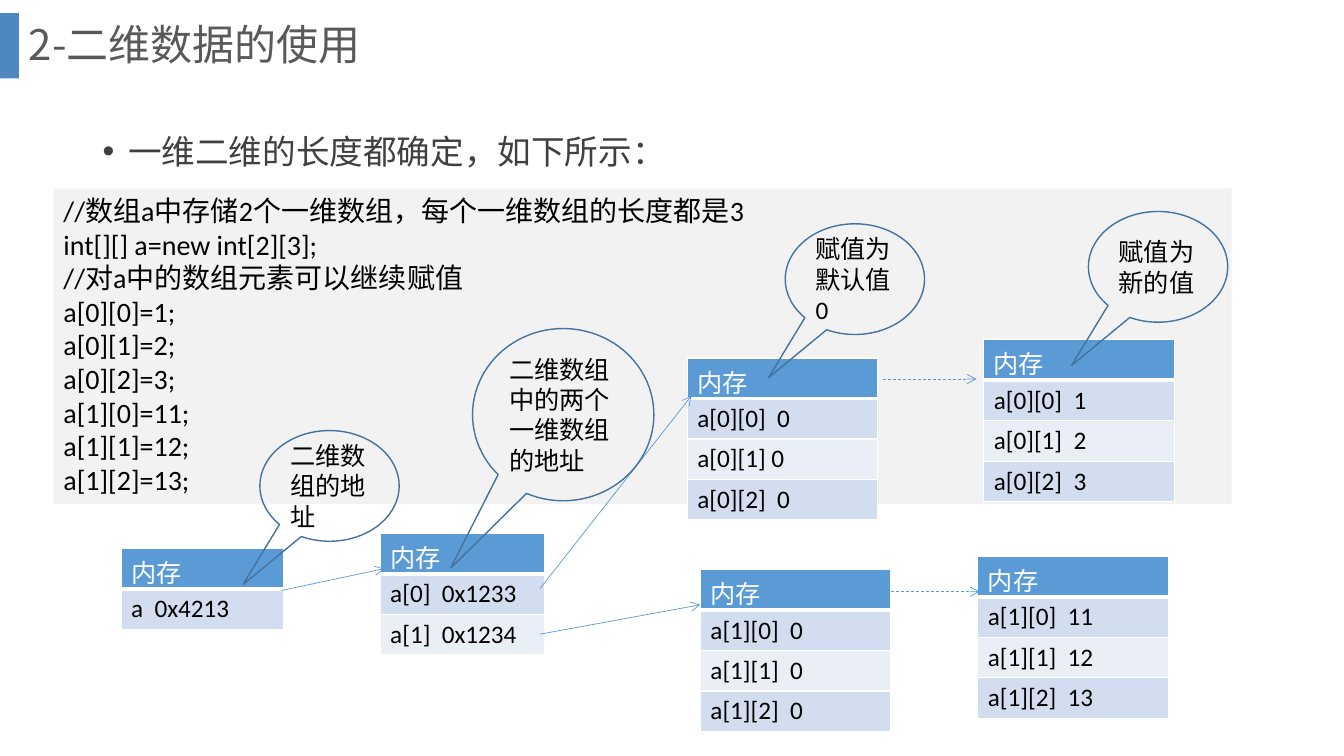
import pptx
import pptx.util
import pptx.dml.color
import pptx.enum.dml
import pptx.enum.shapes
import pptx.enum.text
import pptx.oxml
import pptx.oxml.ns
import lxml.etree

Cm, Pt = pptx.util.Cm, pptx.util.Pt
Kind = pptx.enum.shapes.MSO_SHAPE
Anchor = pptx.enum.text.MSO_ANCHOR
qn = pptx.oxml.ns.qn
CJK = "Noto Sans CJK SC"


def paint(color, code):
    color.rgb = pptx.dml.color.RGBColor.from_string(code)


def write(frame, lines, size, code, face="Calibri", anchor=Anchor.TOP):
    for name, value in {"word_wrap": True, "vertical_anchor": anchor}.items():
        setattr(frame, name, value)
    frame.text = "\n".join(lines)
    for para in frame.paragraphs:
        para.alignment = pptx.enum.text.PP_ALIGN.LEFT
        font = para.runs[0].font
        for name, value in {"size": Pt(size), "name": face, "bold": False}.items():
            setattr(font, name, value)
        paint(font.fill.fore_color if font.fill.type else font.color, code)
        lxml.etree.SubElement(para.runs[0]._r.rPr, qn("a:ea"), typeface=CJK)


deck = pptx.Presentation()
deck.slide_width, deck.slide_height = Cm(33.87), Cm(19.05)
slide = deck.slides.add_slide(deck.slide_layouts[6])
shapes = slide.shapes

# Accent bar, slightly transparent
bar = shapes.add_shape(Kind.RECTANGLE, 0, Cm(0.33), Cm(0.48), Cm(1.65))
bar.shadow.inherit = False
bar.fill.solid()
paint(bar.fill.fore_color, "2E75B6")
tint = bar.fill._xPr.find(qn("a:solidFill"))[0]
lxml.etree.SubElement(tint, qn("a:alpha"), val="85000")
bar.line.fill.background()

# Title
title = shapes.add_textbox(Cm(0.48), 0, Cm(32.16), Cm(2.36)).text_frame
write(title, ["2-二维数据的使用"], 30, "595959", CJK, Anchor.MIDDLE)
title.paragraphs[0].line_spacing = 0.9

# Bullet
body = shapes.add_textbox(Cm(2.34), Cm(2.67), Cm(29.21), Cm(15.64)).text_frame
write(body, ["一维二维的长度都确定，如下所示："], 24, "404040", CJK)
point = body.paragraphs[0]
for name, value in {"line_spacing": 1.5, "space_before": Pt(10)}.items():
    setattr(point, name, value)
props = point._p.get_or_add_pPr()
props.set("marL", str(Cm(0.64)))
props.set("indent", str(-Cm(0.64)))
lxml.etree.SubElement(props, qn("a:buFont"), typeface="Arial")
lxml.etree.SubElement(props, qn("a:buChar"), char="•")

# Code panel
panel = shapes.add_shape(Kind.RECTANGLE, Cm(1.35), Cm(4.75), Cm(29.69), Cm(7.95))
panel.shadow.inherit = False
panel.fill.solid()
paint(panel.fill.fore_color, "F2F2F2")
panel.line.fill.background()
code = [
    "//数组a中存储2个一维数组，每个一维数组的长度都是3",
    "int[][] a=new int[2][3];",
    "//对a中的数组元素可以继续赋值",
    "a[0][0]=1;", "a[0][1]=2;", "a[0][2]=3;",
    "a[1][0]=11;", "a[1][1]=12;", "a[1][2]=13;",
]
write(panel.text_frame, code, 20, "000000")

# Memory tables: left, top, width, rows below the header
grids = [
    (3.05, 13.82, 4.09, ["a  0x4213"]),
    (9.58, 13.44, 4.14, ["a[0]  0x1233", "a[1]  0x1234"]),
    (17.32, 9.02, 4.8, ["a[0][0]  0", "a[0][1] 0", "a[0][2]  0"]),
    (17.65, 14.35, 4.8, ["a[1][0]  0", "a[1][1]  0", "a[1][2]  0"]),
    (24.79, 8.56, 4.8, ["a[0][0]  1", "a[0][1]  2", "a[0][2]  3"]),
    (24.64, 14.02, 4.8, ["a[1][0]  11", "a[1][1]  12", "a[1][2]  13"]),
]
for left, top, width, rows in grids:
    texts = ["内存"] + rows
    grid = shapes.add_table(len(texts), 1, Cm(left), Cm(top), Cm(width),
                            Cm(1.02 * len(texts))).table
    for row, text in enumerate(texts):
        cell = grid.cell(row, 0)
        write(cell.text_frame, [text], 18, "000000" if row else "FFFFFF")
        edges = cell._tc.get_or_add_tcPr()
        for side in "LRTB":
            thick = 3 if (row, side) in [(0, "B"), (1, "T")] else 1
            edge = lxml.etree.SubElement(edges, qn("a:ln" + side), w=str(Pt(thick)))
            ink = lxml.etree.SubElement(edge, qn("a:solidFill"))
            lxml.etree.SubElement(ink, qn("a:srgbClr"), val="FFFFFF")
        cell.fill.solid()
        shade = ("D2DEEF" if row % 2 else "EAEFF7") if row else "5B9BD5"
        paint(cell.fill.fore_color, shade)

# Arrows between tables: start, end, dashed
arrows = [
    (13.61, 14.83, 17.42, 9.98, False),
    (13.61, 15.98, 17.65, 15.24, False),
    (7.09, 14.88, 9.68, 14.33, False),
    (22.25, 9.55, 24.61, 9.55, True),
    (22.33, 14.91, 24.69, 14.91, True),
]
for *ends, dashed in arrows:
    arrow = shapes.add_connector(pptx.enum.shapes.MSO_CONNECTOR.STRAIGHT,
                                 *[Cm(end) for end in ends])
    paint(arrow.line.color, "5B9BD5")
    arrow.line.width = Pt(0.5)
    if dashed:
        arrow.line.dash_style = pptx.enum.dml.MSO_LINE.DASH
    lxml.etree.SubElement(arrow.line._get_or_add_ln(), qn("a:tailEnd"), type="arrow")
    lxml.etree.SubElement(arrow._element.spPr, qn("a:effectLst"))

# Callouts
notes = [
    (19.79, 5.64, 3.51, 2.79, "赋值为默认值0"),
    (6.55, 10.85, 3.51, 2.79, "二维数组的地址"),
    (11.91, 8.28, 4.57, 4.34, "二维数组中的两个一维数组的地址"),
    (27.43, 5.33, 3.51, 2.79, "赋值为新的值"),
]
for *place, text in notes:
    note = shapes.add_shape(Kind.OVAL_CALLOUT, *[Cm(size) for size in place])
    note.shadow.inherit = False
    note.adjustments[0], note.adjustments[1] = -0.621, 0.891
    note.fill.background()
    paint(note.line.color, "43739E")
    note.line.width = Pt(1)
    write(note.text_frame, [text], 18, "000000", anchor=Anchor.MIDDLE)

deck.save("out.pptx")
